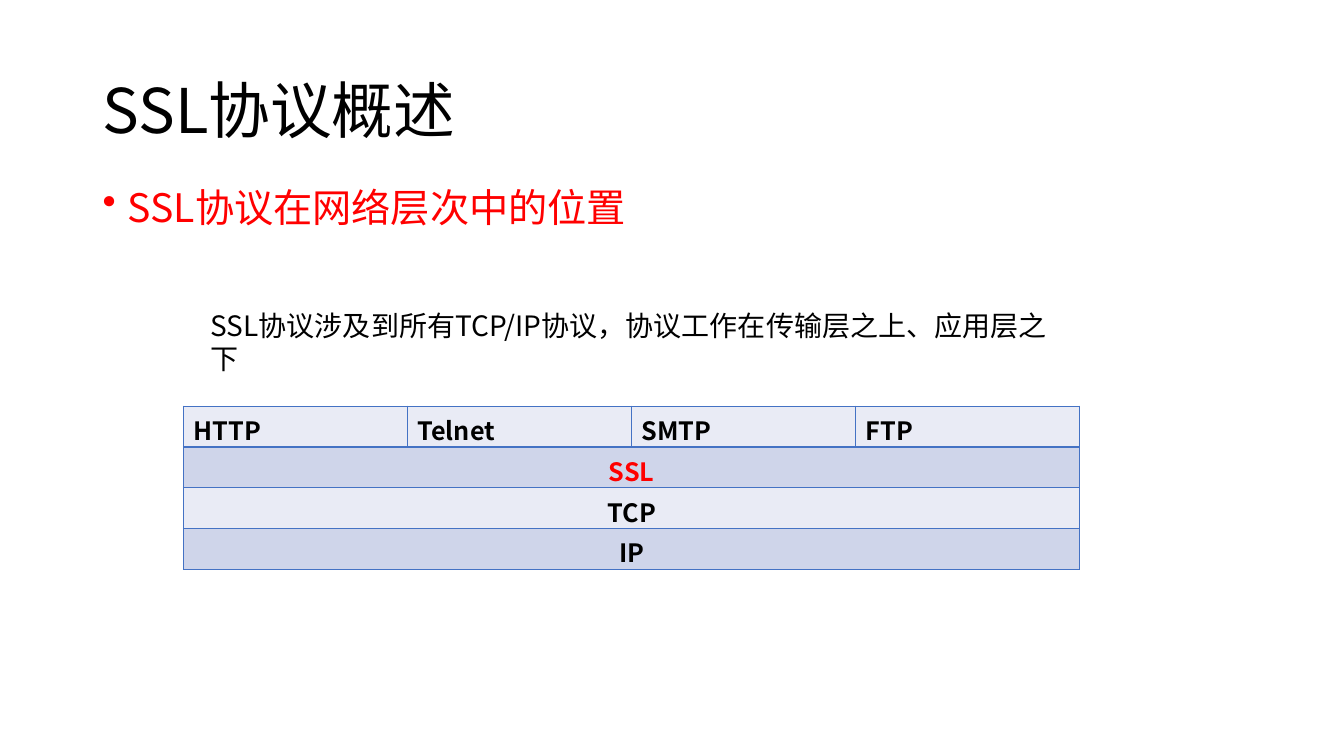
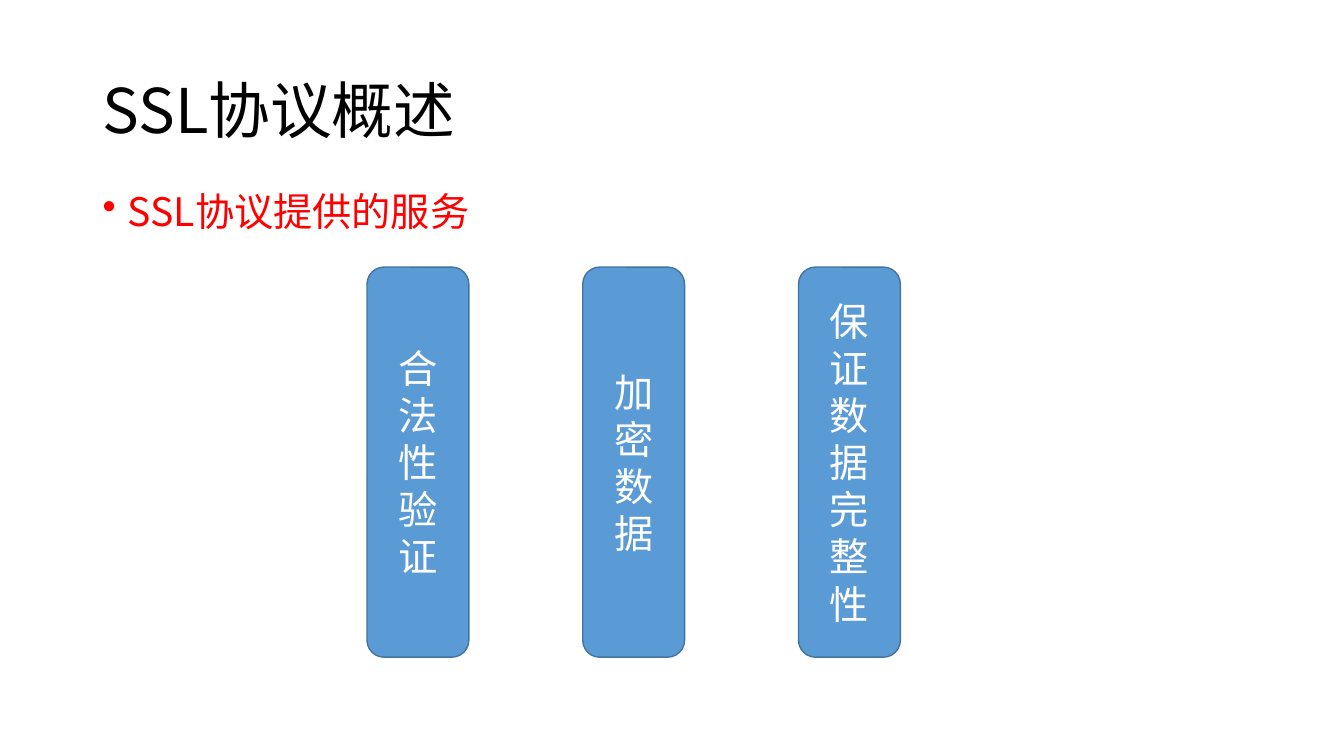
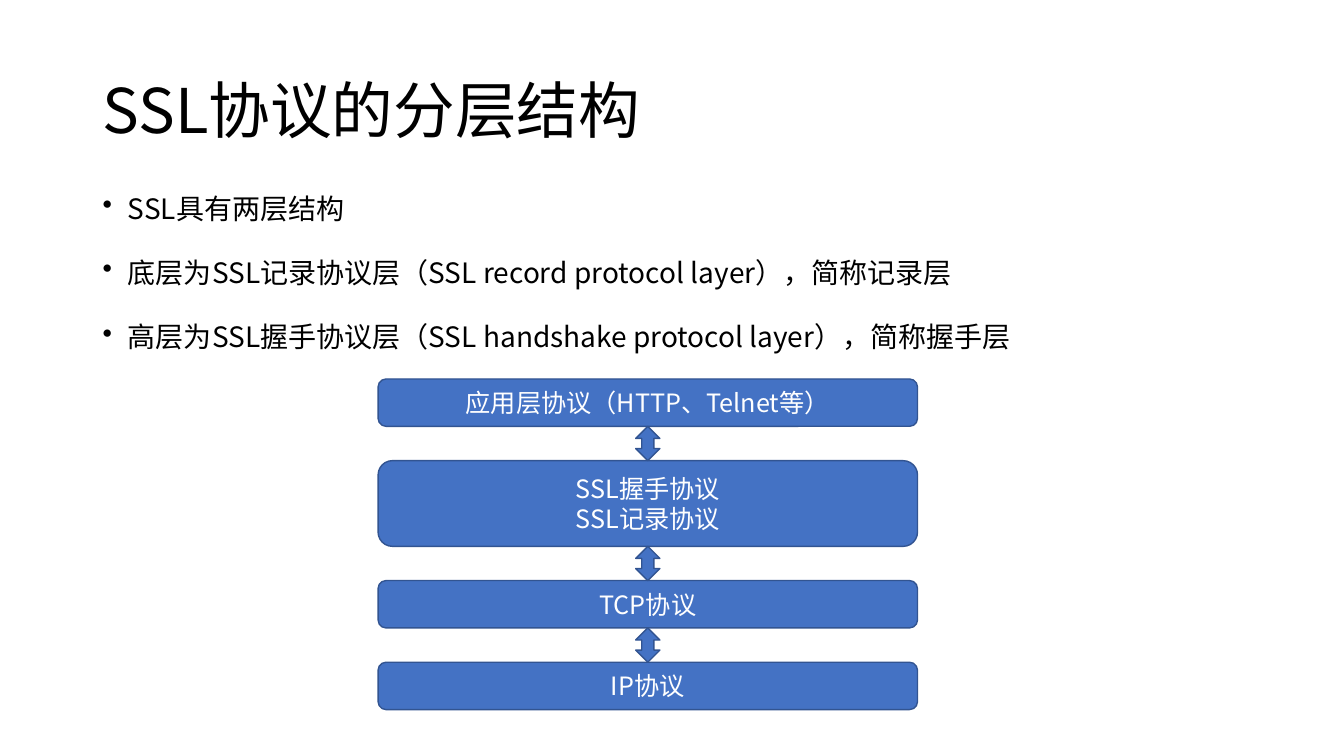
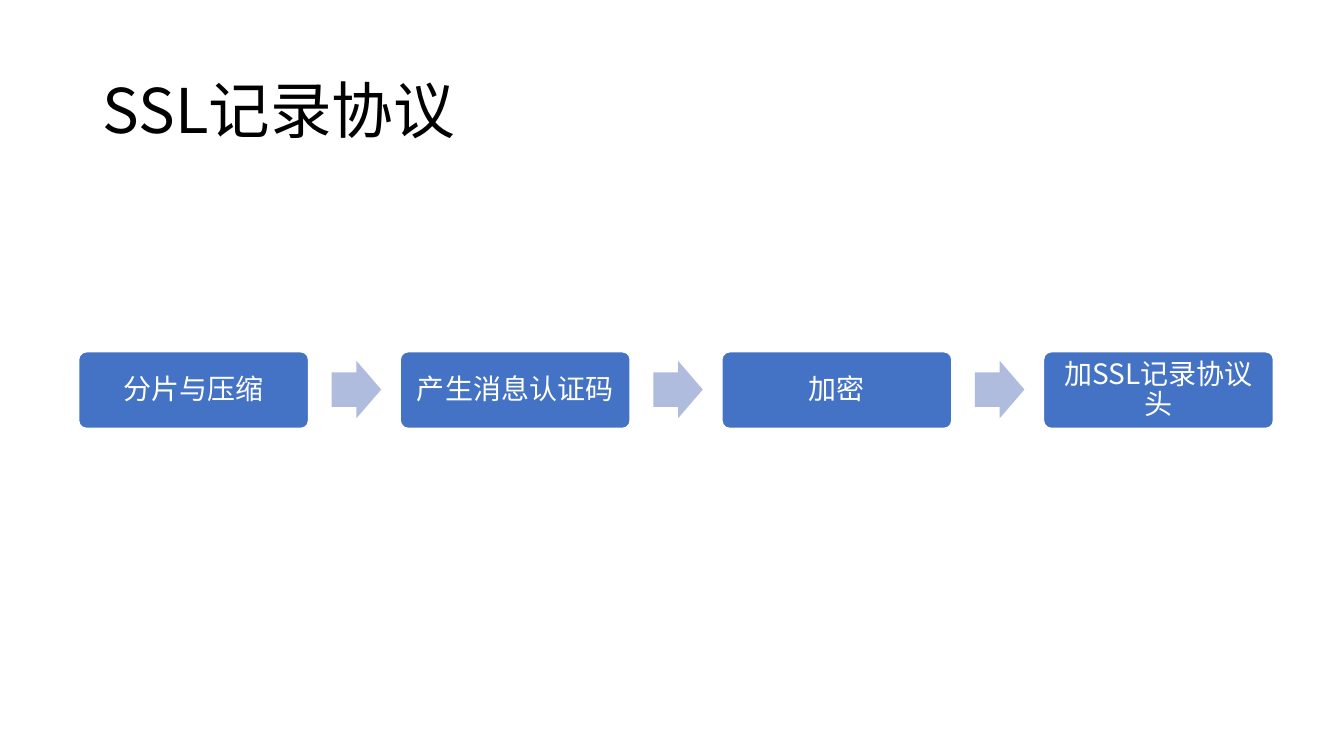
from dataclasses import dataclass
from itertools import accumulate

from lxml import etree
from pptx import Presentation
from pptx import util as u
from pptx.dml.color import RGBColor
from pptx.enum import shapes, text
from pptx.oxml.ns import qn


@dataclass(frozen=True)
class Theme:
    """Colours, font and type sizes shared by all slides."""
    font: str = "Noto Sans CJK SC"
    ink: str = "000000"
    accent: str = "FF0000"
    white: str = "FFFFFF"
    blue: str = "4472C4"
    blue_edge: str = "325491"
    sky: str = "5B9BD5"
    sky_edge: str = "43739E"
    arrow: str = "B0BCDE"
    bands: tuple = ("E9EBF5", "CFD5EA")
    title: int = 44
    heading: int = 28
    normal: int = 20
    small: int = 18


THEME = Theme()
SLIDE = (13.33, 7.5)
MARGIN, CONTENT_WIDTH = 0.92, 11.5
SHAPE = shapes.MSO_SHAPE
MIDDLE = text.MSO_ANCHOR.MIDDLE
CENTER = text.PP_ALIGN.CENTER

OVERVIEW = "SSL协议概述"
POSITION_HEADING = "SSL协议在网络层次中的位置"
POSITION_NOTE = "SSL协议涉及到所有TCP/IP协议，协议工作在传输层之上、应用层之下"
APPLICATIONS = ["HTTP", "Telnet", "SMTP", "FTP"]
LOWER_LAYERS = ["SSL", "TCP", "IP"]
SERVICES_HEADING = "SSL协议提供的服务"
SERVICES = ["合法性验证", "加密数据", "保证数据完整性"]
STRUCTURE = "SSL协议的分层结构"
STRUCTURE_POINTS = [
    "SSL具有两层结构",
    "底层为SSL记录协议层（SSL record protocol layer），简称记录层",
    "高层为SSL握手协议层（SSL handshake protocol layer），简称握手层",
]
STACK = [
    ("应用层协议（HTTP、Telnet等）", 0.47),
    ("SSL握手协议\nSSL记录协议", 0.85),
    ("TCP协议", 0.47),
    ("IP协议", 0.47),
]
RECORD = "SSL记录协议"
RECORD_STEPS = ["分片与压缩", "产生消息认证码", "加密", "加SSL记录协议头"]


def inches(*lengths):
    """Convert a run of lengths in inches."""
    return [u.Inches(length) for length in lengths]


def write(frame, words, size, color, align=None, spacing=None, before=None, bold=None):
    """Fill a text frame and format all its paragraphs alike."""
    frame.text = words
    frame.word_wrap = True
    for para in frame.paragraphs:
        para.alignment = align
        para.line_spacing = spacing
        if before:
            para.space_before = u.Pt(before)
        for span in para.runs:
            font = span.font
            font.size, font.name, font.bold = u.Pt(size), THEME.font, bold
            font.color.rgb = RGBColor.from_string(color)
            east_asian = etree.SubElement(font._element, qn("a:ea"))
            east_asian.set("typeface", THEME.font)


def add_text(page, at, words, size, color, **style):
    """Add a text box and return its frame."""
    frame = page.shapes.add_textbox(*inches(*at)).text_frame
    write(frame, words, size, color, **style)
    return frame


def add_bullets(page, top, height, lines, size, color, spacing):
    """Add a bulleted list across the content width."""
    frame = add_text(page, (MARGIN, top, CONTENT_WIDTH, height), "\n".join(lines),
                     size, color, spacing=spacing, before=10)
    for para in frame.paragraphs:
        properties = para._p.get_or_add_pPr()
        properties.set("marL", str(u.Inches(0.25)))
        properties.set("indent", str(-u.Inches(0.25)))
        etree.SubElement(properties, qn("a:buChar")).set("char", "•")


def add_block(page, kind, at, fill, edge=None, words="", size=THEME.small, spacing=None):
    """Add a filled preset shape with centred white text."""
    block = page.shapes.add_shape(kind, *inches(*at))
    block.shadow.inherit = False
    block.fill.solid()
    block.fill.fore_color.rgb = RGBColor.from_string(fill)
    if edge:
        block.line.color.rgb = RGBColor.from_string(edge)
        block.line.width = u.Pt(1)
    else:
        block.line.fill.background()
    if words:
        block.text_frame.vertical_anchor = MIDDLE
        write(block.text_frame, words, size, THEME.white, CENTER, spacing)
    return block


def add_borders(cell, color):
    """Draw a one-point line on each side of a table cell."""
    properties = cell._tc.get_or_add_tcPr()
    for order, side in enumerate(("lnL", "lnR", "lnT", "lnB")):
        line = etree.Element(qn(f"a:{side}"), w=str(u.Pt(1)))
        fill = etree.SubElement(line, qn("a:solidFill"))
        etree.SubElement(fill, qn("a:srgbClr")).set("val", color)
        properties.insert(order, line)


def add_layer_table(page, at):
    """Add the protocol table: applications on top, one merged row per lower layer."""
    columns = len(APPLICATIONS)
    rows = [APPLICATIONS] + [[name] for name in LOWER_LAYERS]
    table = page.shapes.add_table(len(rows), columns, *inches(*at)).table
    table.first_row = table.horz_banding = False
    for index, names in enumerate(rows):
        merged = len(names) == 1
        for column in range(columns):
            cell = table.cell(index, column)
            cell.fill.solid()
            cell.fill.fore_color.rgb = RGBColor.from_string(THEME.bands[index % 2])
            add_borders(cell, THEME.blue)
        if merged:
            table.cell(index, 0).merge(table.cell(index, columns - 1))
        for column, name in enumerate(names):
            write(table.cell(index, column).text_frame, name, THEME.small,
                  THEME.accent if name == "SSL" else THEME.ink,
                  align=CENTER if merged else None, bold=True)


def add_page(deck, title):
    """Add a blank slide with the shared title."""
    page = deck.slides.add_slide(deck.slide_layouts[6])
    frame = add_text(page, (MARGIN, 0.4, CONTENT_WIDTH, 1.45), title,
                     THEME.title, THEME.ink, spacing=0.9)
    frame.vertical_anchor = MIDDLE
    return page


def build_position(deck):
    """Show where SSL sits among the network layers."""
    page = add_page(deck, OVERVIEW)
    add_bullets(page, 1.58, 0.79, [POSITION_HEADING], THEME.heading, THEME.accent, 1.4)
    add_text(page, (1.99, 3.01, 8.71, 0.74), POSITION_NOTE, THEME.normal, THEME.ink)
    add_layer_table(page, (1.82, 4.03, 8.89, 1.62))


def build_services(deck):
    """Show the services as equally spaced pillars."""
    page = add_page(deck, OVERVIEW)
    add_bullets(page, 1.58, 0.79, [SERVICES_HEADING], THEME.heading, THEME.accent, 1.5)
    left, pitch = 3.64, 2.14
    for index, service in enumerate(SERVICES):
        add_block(page, SHAPE.ROUNDED_RECTANGLE, (left + index * pitch, 2.65, 1.01, 3.87),
                  THEME.sky, THEME.sky_edge, service, THEME.heading)


def build_structure(deck):
    """Show the protocol stack with arrows in the gaps."""
    page = add_page(deck, STRUCTURE)
    add_bullets(page, 1.68, 2.27, STRUCTURE_POINTS, THEME.normal, THEME.ink, 1.5)
    left, top, width, gap, arrow_width = 3.75, 3.76, 5.35, 0.34, 0.24
    bottoms = [top + end - gap for end in accumulate(height + gap for _, height in STACK)]
    for (words, height), bottom in zip(STACK, bottoms):
        add_block(page, SHAPE.ROUNDED_RECTANGLE, (left, bottom - height, width, height),
                  THEME.blue, THEME.blue_edge, words)
    for bottom in bottoms[:-1]:
        add_block(page, SHAPE.UP_DOWN_ARROW,
                  (left + (width - arrow_width) / 2, bottom, arrow_width, gap),
                  THEME.blue, THEME.blue_edge)


def build_record(deck):
    """Show the record protocol steps as a chain."""
    page = add_page(deck, RECORD)
    left, pitch, arrow_offset = 0.78, 3.19, 2.51
    for index, step in enumerate(RECORD_STEPS):
        start = left + index * pitch
        block = add_block(page, SHAPE.ROUNDED_RECTANGLE, (start, 3.49, 2.28, 0.76),
                          THEME.blue, THEME.white, step, THEME.normal, 0.9)
        block.adjustments[0] = 0.1
        frame = block.text_frame
        frame.margin_left = frame.margin_right = u.Inches(0.08)
        if index < len(RECORD_STEPS) - 1:
            arrow = add_block(page, SHAPE.RIGHT_ARROW,
                              (start + arrow_offset, 3.58, 0.49, 0.57), THEME.arrow)
            arrow.adjustments[0] = 0.6


def main():
    """Build and save the deck."""
    deck = Presentation()
    deck.slide_width, deck.slide_height = inches(*SLIDE)
    for build in (build_position, build_services, build_structure, build_record):
        build(deck)
    deck.save("out.pptx")


main()
